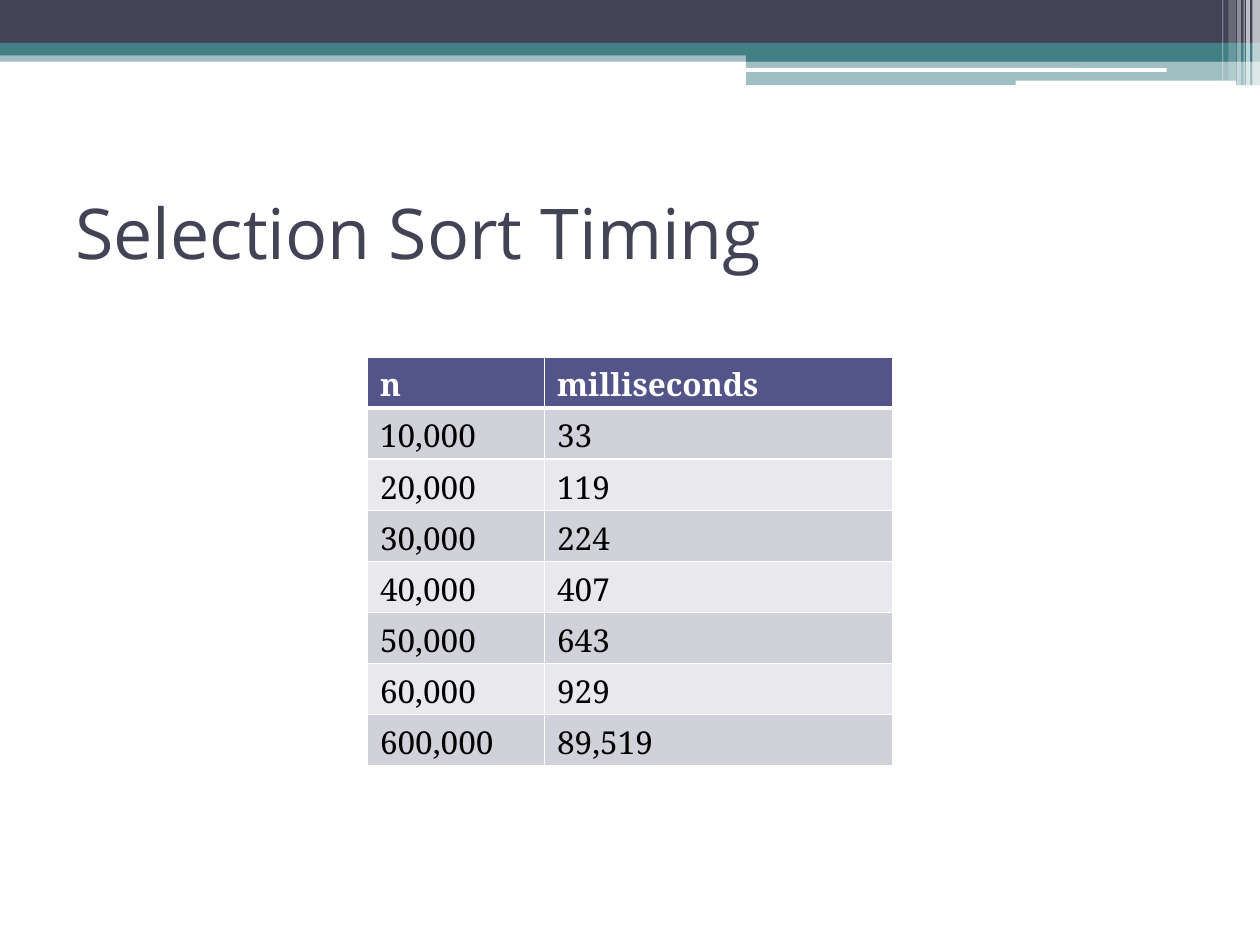
"""Build the Selection Sort Timing slide with its banner and timing table."""
from pptx import Presentation
from pptx.dml.color import RGBColor as RGB
from pptx.enum.shapes import MSO_SHAPE as SHAPE
from pptx.enum.text import MSO_ANCHOR as ANCHOR
from pptx.oxml.ns import qn
from pptx.util import Pt
from lxml.etree import SubElement

COLORS = {
    "navy": "424456", "teal": "438086", "white": "FFFFFF", "black": "000000",
    "header": "53548A", "odd": "D1D1DA", "even": "E9E9ED",
}
BANNER = [
    (0, 28.8, 720, 6.48, "teal", 50),
    (0, 0, 720, 24.48, "navy", 100),
    (0, 24.48, 720, 7.2, "teal", 100),
    (426.24, 28.08, 293.76, 7.2, "teal", 100),
    (426.24, 34.56, 293.76, 14.1, "teal", 50),
]
PILLS = [(425.5, 38.9, 241.2, 2.16), (580.3, 46.1, 126, 2.88)]
STRIPES = [
    (715.7, 4.3, 48.96, 65), (712.1, 2.16, 48.96, 65), (710.6, 0.72, 48.96, 60),
    (707, 2.16, 48.96, 40), (702, 4.3, 46.1, 20), (698.4, 0.72, 46.1, 30),
]
ROWS = [
    ("n", "milliseconds"), ("10,000", "33"), ("20,000", "119"), ("30,000", "224"),
    ("40,000", "407"), ("50,000", "643"), ("60,000", "929"), ("600,000", "89,519"),
]
COL_WIDTHS = (101.2, 198.8)
ROW_HEIGHT = 29.2


def color(name):
    return RGB.from_string(COLORS[name])


def format_run(r, font, size, name, bold=False):
    r.font.name, r.font.size, r.font.bold = font, Pt(size), bold
    r.font.color.rgb = color(name)


def add_bar(s, x, y, w, h, name, opacity=100, kind=SHAPE.RECTANGLE):
    sp = s.shapes.add_shape(kind, Pt(x), Pt(y), Pt(w), Pt(h))
    sp.shadow.inherit = False
    sp.line.fill.background()
    sp.fill.solid()
    sp.fill.fore_color.rgb = color(name)
    if opacity < 100:
        clr = sp.fill._xPr.find(qn("a:solidFill"))[0]
        SubElement(clr, qn("a:alpha"), val=str(opacity * 1000))
    return sp


def add_banner(s):
    for bar in BANNER:
        add_bar(s, *bar)
    for pill in PILLS:
        add_bar(s, *pill, "white", kind=SHAPE.ROUNDED_RECTANGLE)
    for x, w, h, opacity in STRIPES:
        add_bar(s, x, 0, w, h, "white", opacity)


def add_title(s, text):
    tf = s.shapes.add_textbox(Pt(36), Pt(90), Pt(648), Pt(84.2)).text_frame
    tf.word_wrap = True
    tf.vertical_anchor = ANCHOR.MIDDLE
    tf.text = text
    format_run(tf.paragraphs[0].runs[0], "Open Sans", 40, "navy")


def add_borders(cell, widths):
    tc_pr = cell._tc.get_or_add_tcPr()
    for side, width in zip("LRTB", widths):
        ln = SubElement(tc_pr, qn(f"a:ln{side}"), w=str(Pt(width)))
        fill = SubElement(ln, qn("a:solidFill"))
        SubElement(fill, qn("a:srgbClr"), val=COLORS["white"])


def fill_cell(cell, text, row):
    is_header = row == 0
    cell.text = text
    r = cell.text_frame.paragraphs[0].runs[0]
    format_run(r, "Noto Serif", 18, "white" if is_header else "black", is_header)
    add_borders(cell, (1, 1, 3 if row == 1 else 1, 3 if is_header else 1))
    cell.fill.solid()
    cell.fill.fore_color.rgb = color("header" if is_header else "odd" if row % 2 else "even")


def add_timing_table(s):
    frame = s.shapes.add_table(len(ROWS), len(COL_WIDTHS), Pt(210), Pt(204),
                               Pt(sum(COL_WIDTHS)), Pt(ROW_HEIGHT * len(ROWS)))
    table = frame.table
    for col, width in zip(table.columns, COL_WIDTHS):
        col.width = Pt(width)
    for i, values in enumerate(ROWS):
        table.rows[i].height = Pt(ROW_HEIGHT)
        for j, text in enumerate(values):
            fill_cell(table.cell(i, j), text, i)


def main():
    prs = Presentation()
    prs.slide_width, prs.slide_height = Pt(720), Pt(540)
    s = prs.slides.add_slide(prs.slide_layouts[6])
    add_banner(s)
    add_title(s, "Selection Sort Timing")
    add_timing_table(s)
    prs.save("out.pptx")


main()
